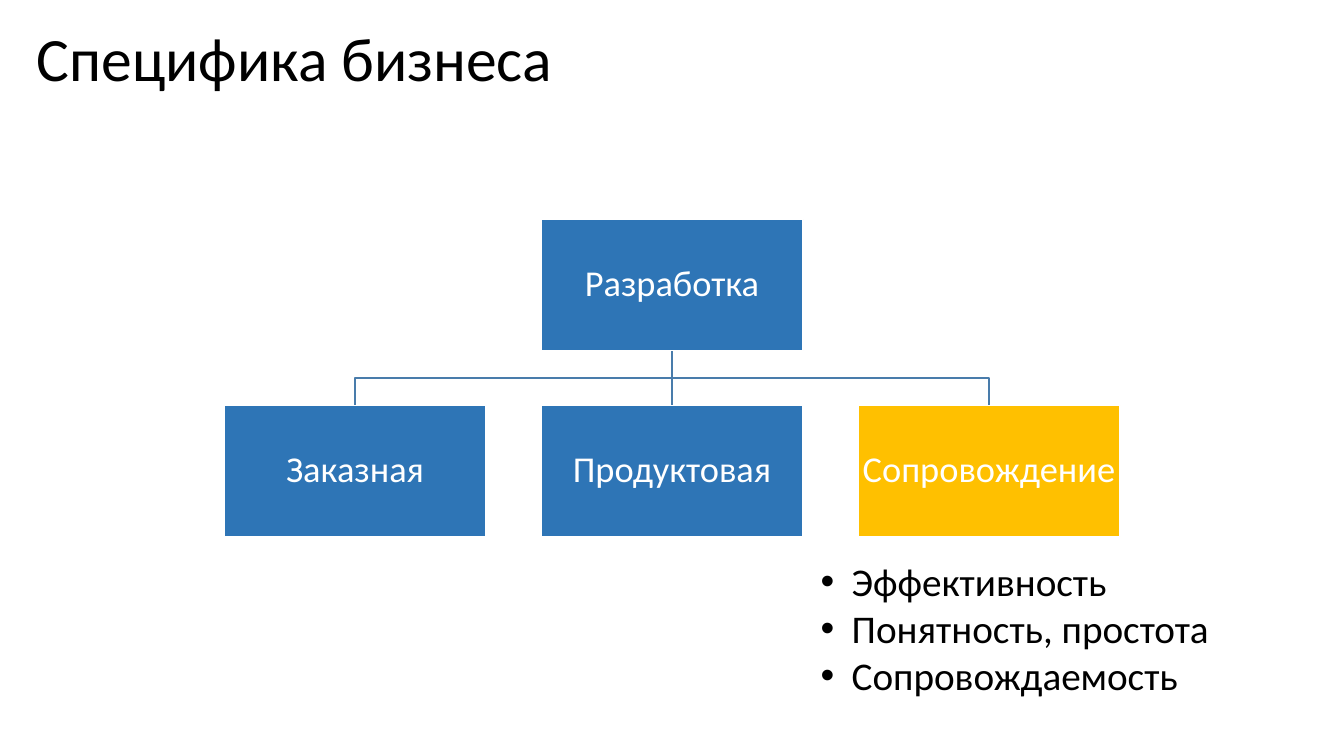
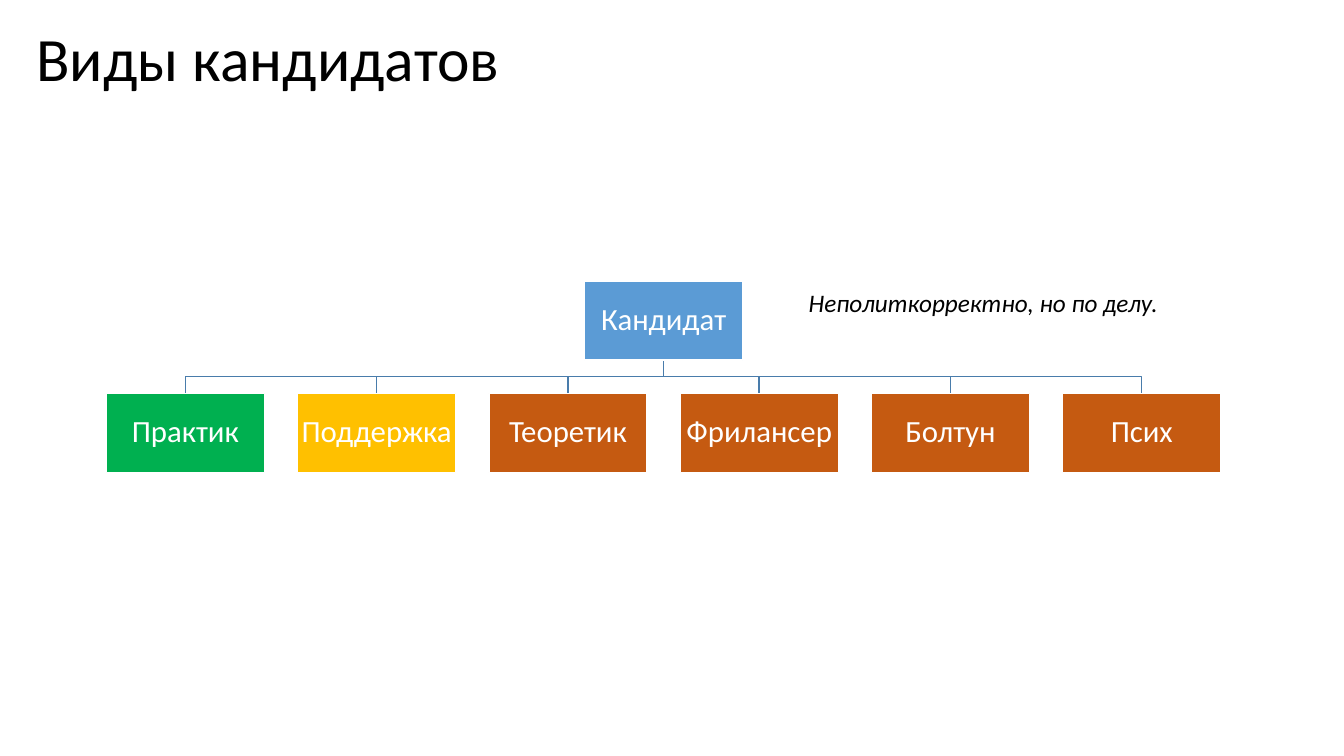
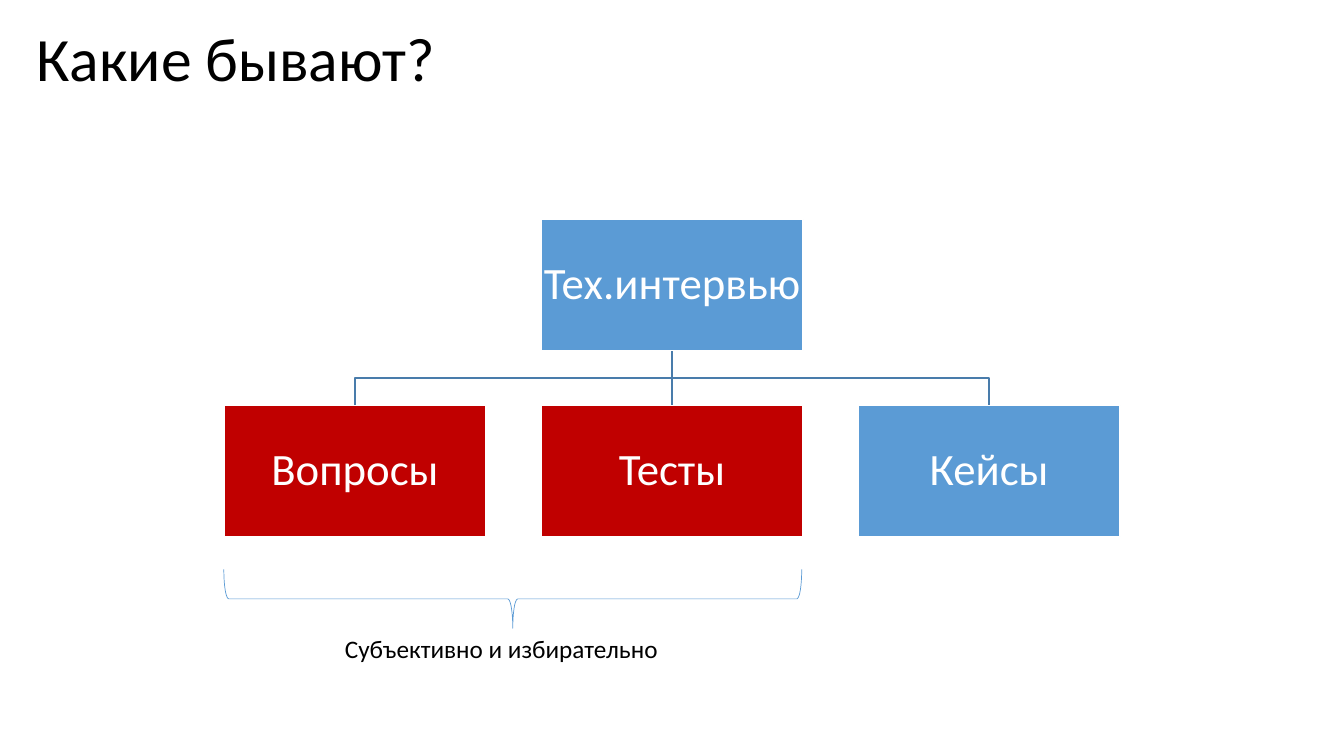
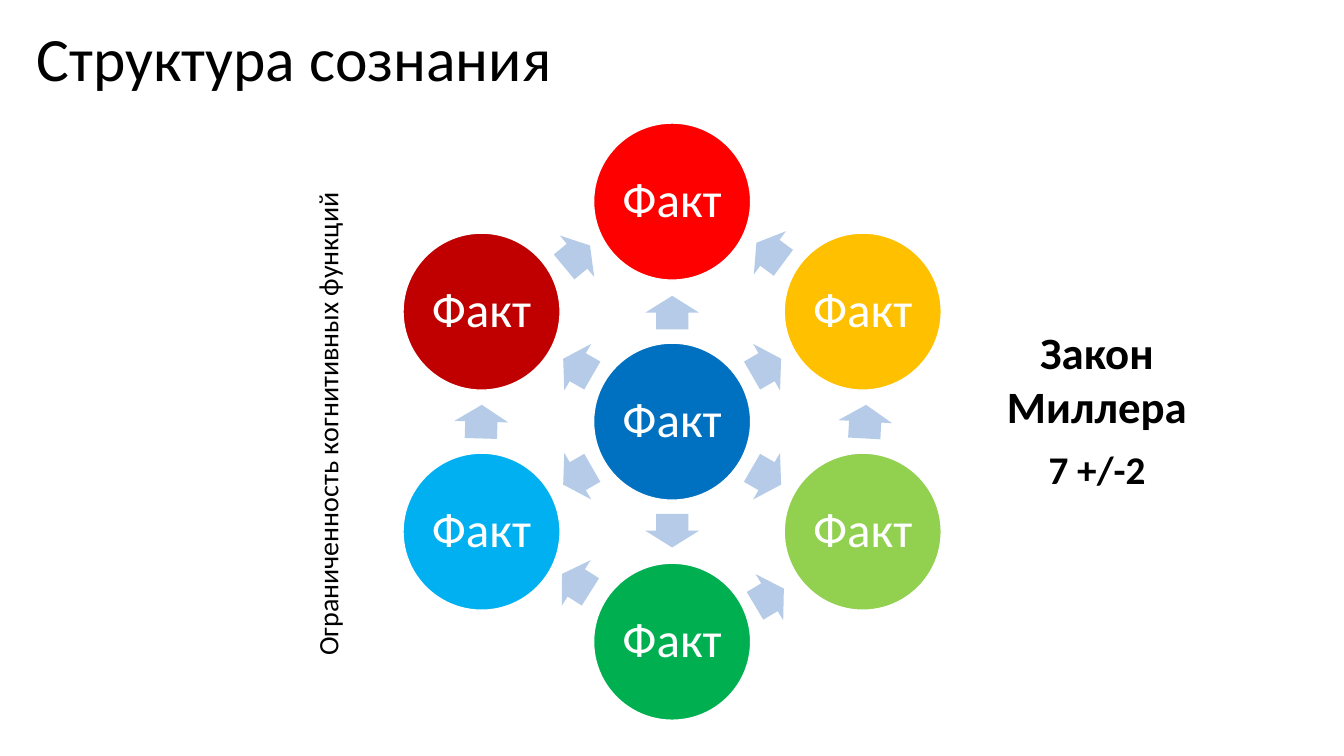
import math

import lxml.etree
import pptx
import pptx.dml.color
import pptx.enum.shapes
import pptx.enum.text
import pptx.oxml.ns
import pptx.util

SHAPE = pptx.enum.shapes.MSO_SHAPE
ALIGN = pptx.enum.text.PP_ALIGN
ANCHOR = pptx.enum.text.MSO_ANCHOR

BLACK, WHITE = "000000", "FFFFFF"
DEEP_BLUE, SKY, WIRE, PALE = "2E75B6", "5B9BD5", "497CAB", "B5CBE7"
GOLD, GREEN, RUST, CRIMSON = "FFC000", "00B050", "C55A11", "C00000"


def color(code):
    """Turn a hex string into a colour."""
    return pptx.dml.color.RGBColor.from_string(code)


def write(box, text, size=18, ink=BLACK, bold=False, italic=False, align=ALIGN.LEFT,
          anchor=ANCHOR.TOP, wrap=True, inset=None, spacing=1, bullet=False):
    """Fill a box with text, one paragraph for each line."""
    frame = box.text_frame
    frame.word_wrap = wrap
    frame.vertical_anchor = anchor
    if inset is not None:
        frame.margin_left = frame.margin_right = pptx.util.Inches(inset)
        frame.margin_top = frame.margin_bottom = pptx.util.Inches(inset)
    for index, line in enumerate(text.split("\n")):
        para = frame.add_paragraph() if index else frame.paragraphs[0]
        para.alignment = align
        para.line_spacing = spacing
        span = para.add_run()
        span.text = line
        span.font.name = "Calibri"
        span.font.size = pptx.util.Pt(size)
        span.font.bold = bold
        span.font.italic = italic
        span.font.color.rgb = color(ink)
        if bullet:
            add_bullet(para)


def add_bullet(para):
    """Give a paragraph a round bullet and a hanging indent."""
    hang = pptx.util.Inches(0.31)
    properties = para._p.get_or_add_pPr()
    properties.set("marL", str(hang))
    properties.set("indent", str(-hang))
    tag = pptx.oxml.ns.qn
    lxml.etree.SubElement(properties, tag("a:buFont")).set("typeface", "Arial")
    lxml.etree.SubElement(properties, tag("a:buChar")).set("char", "•")


class Deck:
    """Draw slides on a grid of 160 columns and 90 rows of square cells."""

    COLUMNS = 160

    def __init__(self):
        self.file = pptx.Presentation()
        self.file.slide_width = pptx.util.Inches(13.333)
        self.file.slide_height = pptx.util.Inches(7.5)
        self.page = None

    def cells(self, *counts):
        """Turn counts of grid cells into lengths."""
        return [round(count * self.file.slide_width / self.COLUMNS) for count in counts]

    def start(self, title):
        """Open a new slide with its title."""
        self.page = self.file.slides.add_slide(self.file.slide_layouts[6])
        self.label(title, 3.17, 2.5, 144.5, 9.7, size=44, anchor=ANCHOR.MIDDLE, spacing=0.9)

    def label(self, text, left, top, width, height, turn=0, **style):
        """Place free text."""
        box = self.page.shapes.add_textbox(*self.cells(left, top, width, height))
        box.rotation = turn
        write(box, text, **style)

    def shape(self, kind, x, y, width, height, fill=None, line=None, weight=1, turn=0):
        """Place a preset shape around a centre point."""
        shape = self.page.shapes.add_shape(
            kind, *self.cells(x - width / 2, y - height / 2, width, height))
        shape.shadow.inherit = False
        shape.rotation = turn
        if fill:
            shape.fill.solid()
            shape.fill.fore_color.rgb = color(fill)
        else:
            shape.fill.background()
        if line:
            shape.line.color.rgb = color(line)
            shape.line.width = pptx.util.Pt(weight)
        else:
            shape.line.fill.background()
        return shape

    def node(self, kind, text, x, y, width, height, fill, size, inset=0.02):
        """Place a filled shape with a centred white caption."""
        shape = self.shape(kind, x, y, width, height, fill, WHITE)
        write(shape, text, size=size, ink=WHITE, align=ALIGN.CENTER, anchor=ANCHOR.MIDDLE,
              wrap=False, inset=inset, spacing=0.9)

    def branch(self, x, top, end, bottom):
        """Link a point to a lower one, with a step halfway when they are not aligned."""
        if x == end:
            link = self.page.shapes.add_connector(
                pptx.enum.shapes.MSO_CONNECTOR.STRAIGHT, *self.cells(x, top, end, bottom))
        else:
            bar = (top + bottom) / 2
            outline = self.page.shapes.build_freeform(*self.cells(x, top))
            outline.add_line_segments(
                [self.cells(*point) for point in [(x, bar), (end, bar), (end, bottom)]],
                close=False)
            link = outline.convert_to_shape()
            link.fill.background()
        link.line.color.rgb = color(WIRE)
        link.line.width = pptx.util.Pt(1)
        lxml.etree.SubElement(link._element.spPr, pptx.oxml.ns.qn("a:effectLst"))

    def tree(self, root, children, x, top, width, size):
        """Draw a root box over an evenly spaced row of child boxes."""
        height, gap = width / 2, width * 0.21
        row = top + height + gap
        middle = (len(children) - 1) / 2
        centers = [x + (index - middle) * (width + gap) for index in range(len(children))]
        for center in reversed(centers):
            self.branch(x, top + height, center, row)
        places = [(x, top, root)]
        places += [(center, row, child) for center, child in zip(centers, children)]
        for center, upper, (text, fill) in places:
            self.node(SHAPE.RECTANGLE, text, center, upper + height / 2,
                      width, height, fill, size)

    def arrow(self, x, y, turn):
        """Place a short block arrow."""
        arrow = self.shape(SHAPE.RIGHT_ARROW, x, y, 4, 6.4, PALE, turn=turn)
        arrow.adjustments[0] = 0.6
        arrow.adjustments[1] = 0.5

    def wheel(self, text, x, y, radius, hub, rim):
        """Draw a hub circle with arrows to a ring of circles, clockwise from the top."""
        circle = (SHAPE.OVAL, text)
        self.node(*circle, x, y, 18.7, 18.7, hub, 35, 0.05)
        for index, fill in enumerate(rim):
            turn = index * 360 / len(rim) - 90
            across, down = math.cos(math.radians(turn)), math.sin(math.radians(turn))
            self.arrow(x + 12.98 * across, y + 12.98 * down, turn % 360)
            self.node(*circle, x + radius * across, y + radius * down,
                      18.7, 18.7, fill, 35, 0.05)


def main():
    """Build the deck."""
    deck = Deck()
    wide_tree = {"x": 80.02, "top": 26.13, "width": 31.19}

    deck.start("Специфика бизнеса")
    deck.tree(("Разработка", DEEP_BLUE),
              [("Заказная", DEEP_BLUE), ("Продуктовая", DEEP_BLUE), ("Сопровождение", GOLD)],
              size=26, **wide_tree)
    deck.label("Эффективность\nПонятность, простота\nСопровождаемость",
               96.5, 65.8, 50, 18.1, size=28, bullet=True)

    deck.start("Виды кандидатов")
    deck.tree(("Кандидат", SKY),
              [("Практик", GREEN), ("Поддержка", GOLD), ("Теоретик", RUST),
               ("Фрилансер", RUST), ("Болтун", RUST), ("Псих", RUST)],
              x=79, top=33.46, width=18.82, size=22)
    deck.label("Неполиткорректно, но по делу.", 95.08, 33.6, 64.9, 4.8, italic=True)

    deck.start("Какие бывают?")
    deck.tree(("Тех.интервью", SKY),
              [("Вопросы", CRIMSON), ("Тесты", CRIMSON), ("Кейсы", SKY)],
              size=32, **wide_tree)
    deck.shape(SHAPE.LEFT_BRACE, 61.05, 71.3, 7, 68.8, line=SKY, weight=0.5, turn=270)
    deck.label("Субъективно и избирательно", 39.88, 74.8, 40.1, 4.8, wrap=False)

    deck.start("Структура сознания")
    for x, y, turn in [(68.7, 30.5, 320.4), (91.6, 71.1, 329.2), (91.65, 30.1, 216.6),
                       (68.6, 69.4, 212.3), (57.3, 50.2, 271.7), (103, 50.2, 273.2)]:
        deck.arrow(x, y, turn)
    deck.wheel("Факт", 80.02, 50.2, 26.2, "0070C0",
               ["FF0000", GOLD, "92D050", GREEN, "00B0F0", CRIMSON])
    law = {"bold": True, "align": ALIGN.CENTER}
    deck.label("Закон Миллера", 117.9, 38.1, 25.4, 14.2, size=32, **law)
    deck.label("7 +/-2", 123.5, 52.4, 14.2, 6.8, size=28, wrap=False, **law)
    deck.label("Ограниченность когнитивных функций", 10, 47.6, 58, 5.3,
               turn=270, size=20, wrap=False)

    deck.file.save("out.pptx")


if __name__ == "__main__":
    main()
